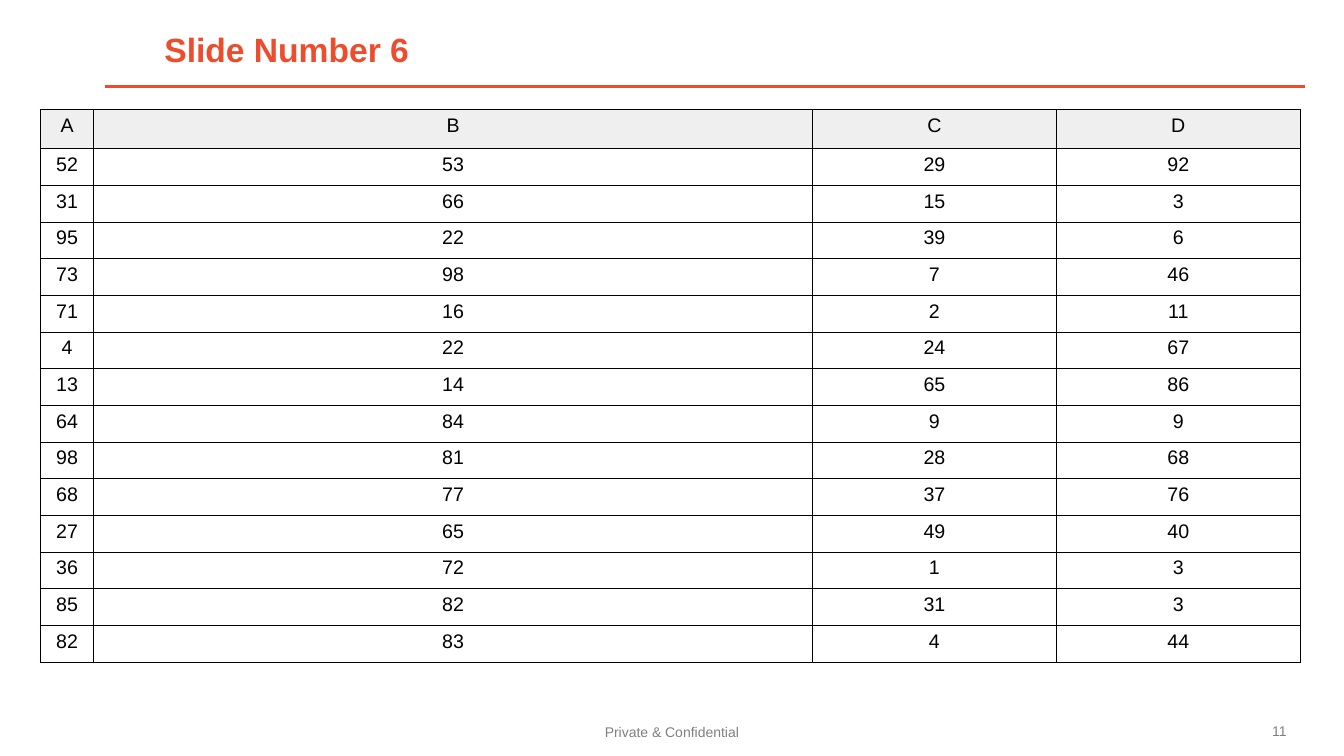
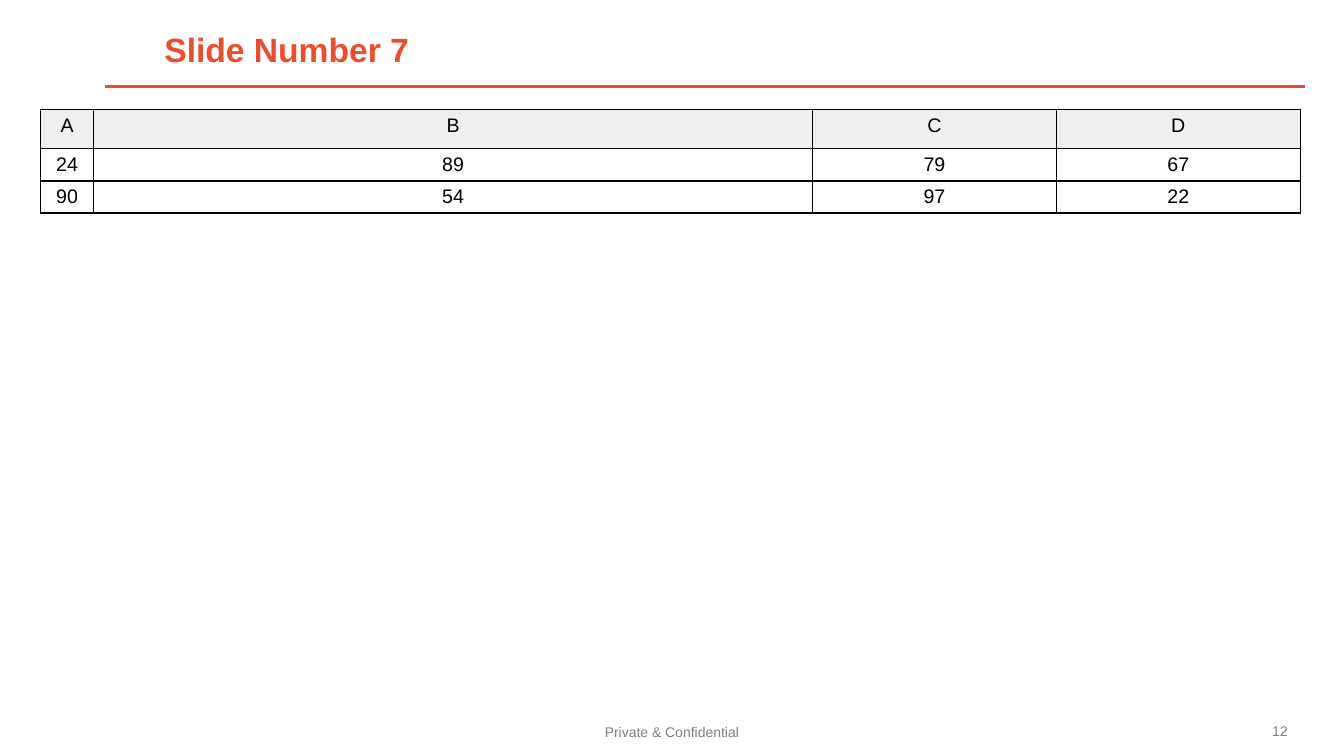
import dataclasses
from typing import Any

import lxml.etree
import pptx
import pptx.dml.color
import pptx.enum.shapes
import pptx.enum.text
import pptx.oxml
import pptx.oxml.ns
import pptx.util

Pt = pptx.util.Pt
ALIGN = pptx.enum.text.PP_ALIGN
ANCHOR = pptx.enum.text.MSO_ANCHOR

ACCENT, BLACK, WHITE = "EE4D2D", "000000", "FFFFFF"
HEADER_FILL, FOOTER_GREY, NUMBER_GREY = "EFEFEF", "808080", "7F7F7F"
FONT = "Arial"
TITLE_ONLY_LAYOUT = 5
FIRST_NUMBER = 11
COLUMN_WIDTHS = (38.2, 513.4, 174.2, 174.2)
HEADER_HEIGHT = 27.8
HEADINGS = ("A", "B", "C", "D")


@dataclasses.dataclass(frozen=True)
class Box:
    """Position and size in points."""
    left: float
    top: float
    width: float
    height: float


@dataclasses.dataclass(frozen=True)
class TextStyle:
    """Look of one piece of text; inset None keeps the default margins."""
    size: float
    color: str
    bold: bool = False
    align: Any = ALIGN.LEFT
    anchor: Any = ANCHOR.TOP
    inset: float | None = None


@dataclasses.dataclass(frozen=True)
class TableSlide:
    """Title and table content of one slide."""
    title: str
    row_height: float
    rows: tuple[tuple[int, ...], ...]


TITLE_BOX = Box(110.2, 16.6, 802, 36.7)
FOOTER_BOX = Box(216.7, 505.4, 526.3, 34.6)
NUMBER_BOX = Box(900.7, 507.6, 30.2, 29.5)
TABLE_LEFT, TABLE_TOP = 28.8, 78.5

TITLE_STYLE = TextStyle(24, ACCENT, bold=True, anchor=ANCHOR.BOTTOM)
FOOTER_STYLE = TextStyle(10, FOOTER_GREY, align=ALIGN.CENTER, anchor=ANCHOR.MIDDLE, inset=7.2)
NUMBER_STYLE = TextStyle(10, NUMBER_GREY, anchor=ANCHOR.MIDDLE, inset=7.9)
CELL_STYLE = TextStyle(14, BLACK, align=ALIGN.CENTER)

SLIDES = (
    TableSlide("Slide Number 6", 26.2, (
        (52, 53, 29, 92), (31, 66, 15, 3), (95, 22, 39, 6), (73, 98, 7, 46),
        (71, 16, 2, 11), (4, 22, 24, 67), (13, 14, 65, 86), (64, 84, 9, 9),
        (98, 81, 28, 68), (68, 77, 37, 76), (27, 65, 49, 40), (36, 72, 1, 3),
        (85, 82, 31, 3), (82, 83, 4, 44),
    )),
    TableSlide("Slide Number 7", 18.7, ((24, 89, 79, 67), (90, 54, 97, 22))),
)


def rgb(value: str) -> pptx.dml.color.RGBColor:
    """Turn a hex string into a colour."""
    return pptx.dml.color.RGBColor.from_string(value)


def apply(target: Any, values: dict[str, Any]) -> None:
    """Set each named attribute on the target."""
    for name, value in values.items():
        setattr(target, name, value)


def write(text_frame: Any, text: str, style: TextStyle) -> None:
    """Put one styled paragraph into a text frame."""
    paragraph = text_frame.paragraphs[0]
    paragraph.alignment = style.align
    run = paragraph.add_run()
    run.text = text
    apply(run.font, {"name": FONT, "size": Pt(style.size), "bold": style.bold})
    run.font.color.rgb = rgb(style.color)


def format_frame(text_frame: Any, style: TextStyle) -> None:
    """Set wrapping, anchor and margins of a text frame."""
    values = {
        "word_wrap": True,
        "auto_size": pptx.enum.text.MSO_AUTO_SIZE.NONE,
        "vertical_anchor": style.anchor,
    }
    if style.inset is not None:
        for side in ("left", "top", "right", "bottom"):
            values[f"margin_{side}"] = Pt(style.inset)
    apply(text_frame, values)


def add_text(slide: Any, box: Box, text: str, style: TextStyle) -> Any:
    """Add a text box with one paragraph."""
    shape = slide.shapes.add_textbox(
        *(Pt(length) for length in dataclasses.astuple(box)))
    format_frame(shape.text_frame, style)
    write(shape.text_frame, text, style)
    return shape


def add_rule(slide: Any) -> Any:
    """Add the line under the title."""
    rule = slide.shapes.add_connector(
        pptx.enum.shapes.MSO_CONNECTOR.STRAIGHT, Pt(75), Pt(62), Pt(932.4), Pt(62))
    rule.line.color.rgb = rgb(ACCENT)
    rule.line.width = Pt(2)
    lxml.etree.SubElement(rule.element.spPr, pptx.oxml.ns.qn("a:effectLst"))
    return rule


def share_on_layout(layout: Any, shapes: tuple[Any, ...]) -> None:
    """Move shapes to the layout, so that every slide shows them."""
    for shape_id, shape in enumerate(shapes, start=101):
        shape.element.xpath(".//p:cNvPr")[0].set("id", str(shape_id))
        layout.shapes.element.append(shape.element)


def set_title(slide: Any, text: str) -> None:
    """Place and fill the title placeholder."""
    title = slide.shapes.title
    apply(title, {name: Pt(length)
                  for name, length in dataclasses.asdict(TITLE_BOX).items()})
    format_frame(title.text_frame, TITLE_STYLE)
    write(title.text_frame, text, TITLE_STYLE)


def format_cell(cell: Any, fill: str) -> None:
    """Give a cell thin black borders and a solid fill."""
    properties = cell._tc.get_or_add_tcPr()
    for side in "LRTB":
        properties.append(pptx.oxml.parse_xml(
            f'<a:ln{side} {pptx.oxml.ns.nsdecls("a")} w="{Pt(1)}"><a:solidFill>'
            f'<a:srgbClr val="{BLACK}"/></a:solidFill></a:ln{side}>'))
    cell.fill.solid()
    cell.fill.fore_color.rgb = rgb(fill)


def add_data_table(slide: Any, content: TableSlide) -> None:
    """Add the table with its heading row."""
    rows = (HEADINGS, *content.rows)
    heights = [HEADER_HEIGHT] + [content.row_height] * len(content.rows)
    table = slide.shapes.add_table(
        len(rows), len(HEADINGS), Pt(TABLE_LEFT), Pt(TABLE_TOP),
        Pt(sum(COLUMN_WIDTHS)), Pt(sum(heights))).table
    apply(table, {"first_row": False, "horz_banding": False})
    for column, width in zip(table.columns, COLUMN_WIDTHS):
        column.width = Pt(width)
    for index, (row, height, values) in enumerate(zip(table.rows, heights, rows)):
        row.height = Pt(height)
        for cell, value in zip(row.cells, values):
            format_cell(cell, WHITE if index else HEADER_FILL)
            write(cell.text_frame, str(value), CELL_STYLE)


def main() -> None:
    """Build and save the presentation."""
    presentation = pptx.Presentation()
    apply(presentation, {"slide_width": Pt(960), "slide_height": Pt(540)})
    layout = presentation.slide_layouts[TITLE_ONLY_LAYOUT]
    for number, content in enumerate(SLIDES, start=FIRST_NUMBER):
        slide = presentation.slides.add_slide(layout)
        if number == FIRST_NUMBER:
            footer = add_text(slide, FOOTER_BOX, "Private & Confidential", FOOTER_STYLE)
            share_on_layout(layout, (add_rule(slide), footer))
        add_text(slide, NUMBER_BOX, str(number), NUMBER_STYLE)
        set_title(slide, content.title)
        add_data_table(slide, content)
    presentation.save("out.pptx")


main()
